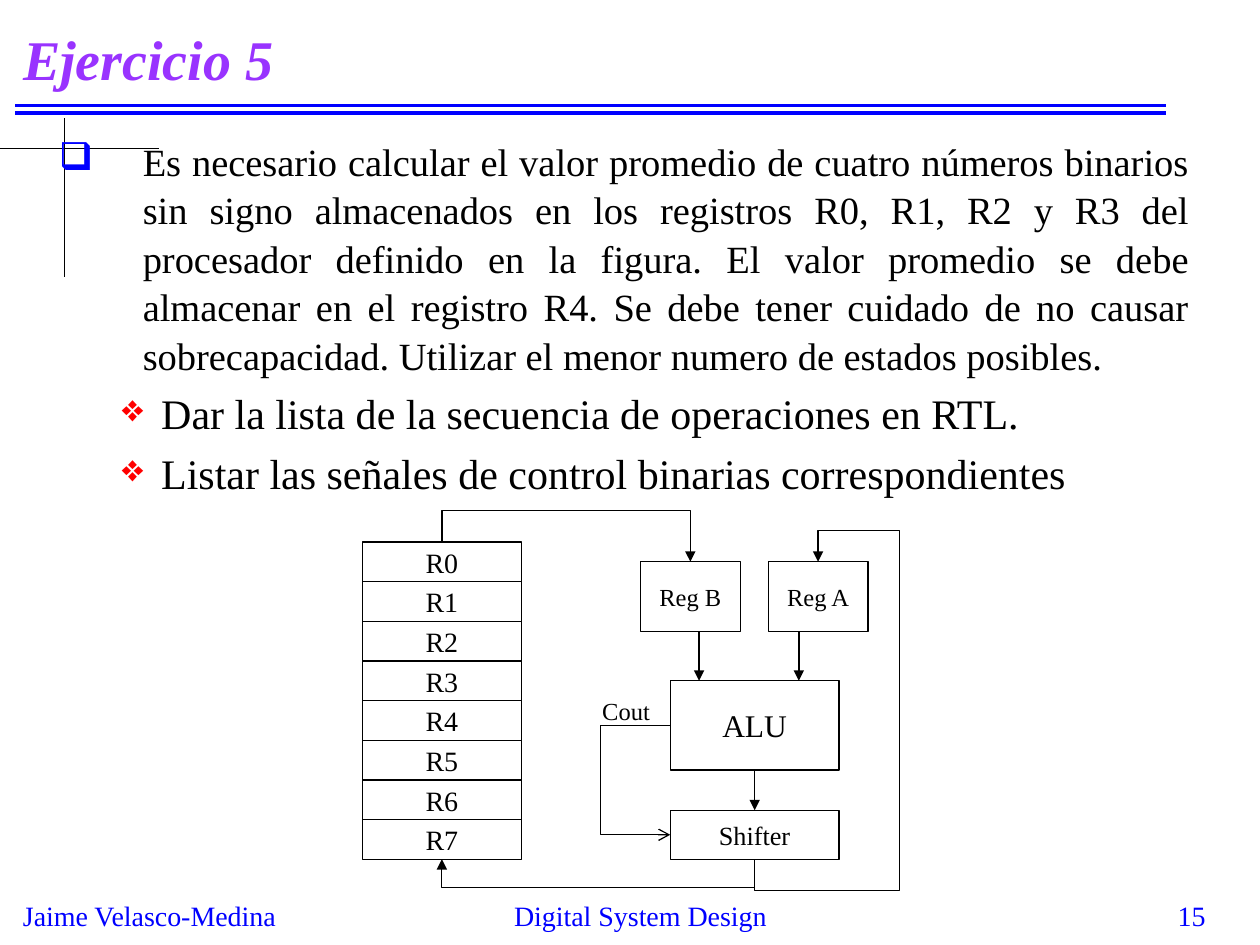
from lxml import etree
from pptx import Presentation
from pptx.dml.color import RGBColor
from pptx.enum import shapes, text
from pptx.oxml import ns
from pptx.util import Pt

BLUE = RGBColor(0x00, 0x00, 0xFF)
PURPLE = RGBColor(0x99, 0x33, 0xFF)
RED = RGBColor(0xFF, 0x00, 0x00)
BLACK = RGBColor(0x00, 0x00, 0x00)
FONT = "Times New Roman"
ALIGN = text.PP_ALIGN
ANCHOR = text.MSO_ANCHOR

STATEMENT = (
    "Es necesario calcular el valor promedio de cuatro números binarios sin signo "
    "almacenados en los registros R0, R1, R2 y R3 del procesador definido en la figura. "
    "El valor promedio se debe almacenar en el registro R4. Se debe tener cuidado de no "
    "causar sobrecapacidad. Utilizar el menor numero de estados posibles."
)
TASKS = (
    "Dar la lista de la secuencia de operaciones en RTL.",
    "Listar las señales de control binarias correspondientes",
)


def set_font(paragraph, size, color):
    """Give a paragraph its font, size and colour."""
    paragraph.font.name = FONT
    paragraph.font.size = Pt(size)
    paragraph.font.color.rgb = color


def add_label(slide, left, top, width, height, words, size, color,
              align=ALIGN.LEFT, wrap=True):
    """Add a text box of one paragraph."""
    box = slide.shapes.add_textbox(Pt(left), Pt(top), Pt(width), Pt(height))
    box.text_frame.word_wrap = wrap
    paragraph = box.text_frame.paragraphs[0]
    paragraph.text = words
    paragraph.alignment = align
    set_font(paragraph, size, color)


def add_block(slide, left, top, width, height, words, size):
    """Add an outlined rectangle with a centred name."""
    block = slide.shapes.add_shape(
        shapes.MSO_SHAPE.RECTANGLE, Pt(left), Pt(top), Pt(width), Pt(height))
    block.shadow.inherit = False
    block.fill.background()
    block.line.color.rgb = BLACK
    block.line.width = Pt(0.75)
    frame = block.text_frame
    frame.word_wrap = False
    frame.vertical_anchor = ANCHOR.MIDDLE
    paragraph = frame.paragraphs[0]
    paragraph.text = words
    paragraph.alignment = ALIGN.CENTER
    set_font(paragraph, size, BLACK)


def add_arrowhead(shape, head):
    """Put an arrowhead at the end of a line."""
    outline = shape.element.spPr.find(ns.qn("a:ln"))
    etree.SubElement(outline, ns.qn("a:tailEnd"), type=head)


def add_line(slide, start, end, color=BLACK, width=0.75, head=None):
    """Add a straight line, with an arrowhead if one is named."""
    line = slide.shapes.add_connector(
        shapes.MSO_CONNECTOR.STRAIGHT, *(Pt(value) for value in (*start, *end)))
    line.line.color.rgb = color
    line.line.width = Pt(width)
    if head:
        add_arrowhead(line, head)
    etree.SubElement(line.element.spPr, ns.qn("a:effectLst"))


def add_route(slide, points, head="triangle"):
    """Add a bent arrow through the given points."""
    start, *others = [(Pt(x), Pt(y)) for x, y in points]
    builder = slide.shapes.build_freeform(*start)
    builder.add_line_segments(others, close=False)
    route = builder.convert_to_shape()
    route.shadow.inherit = False
    route.fill.background()
    route.line.color.rgb = BLACK
    route.line.width = Pt(0.75)
    add_arrowhead(route, head)


def add_bullet(paragraph, mark, color, percent, margin, indent):
    """Give a paragraph a coloured bullet and a hanging indent."""
    properties = paragraph._p.get_or_add_pPr()
    properties.set("marL", str(Pt(margin)))
    properties.set("indent", str(Pt(indent)))
    bullet_color = etree.SubElement(properties, ns.qn("a:buClr"))
    etree.SubElement(bullet_color, ns.qn("a:srgbClr"), val=str(color))
    etree.SubElement(properties, ns.qn("a:buSzPct"), val=str(percent * 1000))
    etree.SubElement(properties, ns.qn("a:buChar"), char=mark)


def add_header(slide, left, top, width, height):
    """Place the title, the double rule and the crossed hairlines."""
    title = slide.shapes.title
    title.left, title.top, title.width, title.height = map(Pt, (left, top, width, height))
    title.text_frame.vertical_anchor = ANCHOR.MIDDLE
    paragraph = title.text_frame.paragraphs[0]
    paragraph.text = "Ejercicio 5"
    paragraph.alignment = ALIGN.LEFT
    set_font(paragraph, 32, PURPLE)
    paragraph.font.bold = paragraph.font.italic = True
    bottom = top + height
    for y in (bottom + 0.3, bottom + 4.6):
        add_line(slide, (left + 2.6, y), (left + width, y), BLUE, 2.25)
    add_line(slide, (0, bottom + 25), (90.7, bottom + 25))
    add_line(slide, (left + 31, bottom + 7.7), (left + 31, bottom + 98.4))


def add_body(slide, left, top, width, height):
    """Place the statement and its tasks."""
    box = slide.shapes.add_textbox(Pt(left), Pt(top), Pt(width), Pt(height))
    frame = box.text_frame
    frame.word_wrap = True
    statement = frame.paragraphs[0]
    statement.text = STATEMENT
    statement.alignment = ALIGN.JUSTIFY
    statement.line_spacing = 1.05
    add_bullet(statement, "❑", BLUE, 100, 48, -48)
    set_font(statement, 22, BLACK)
    for task in TASKS:
        paragraph = frame.add_paragraph()
        paragraph.text = task
        paragraph.level = 1
        paragraph.space_before = Pt(5.5)
        add_bullet(paragraph, "❖", RED, 90, 58.5, -22.5)
        set_font(paragraph, 24, BLACK)


def add_datapath(slide, left, top):
    """Draw the register file, the arithmetic unit, the shifter and their wires."""
    def at(*points):
        return [(left + x, top + y) for x, y in points]

    row = 22.68
    for index in range(8):
        add_block(slide, left, top + 18.7 + index * row, 91, row, f"R{index}", 16)
    for x, y, width, height, name, size in (
        (159, 30, 57, 40, "Reg B", 14),
        (232, 30, 57, 40, "Reg A", 14),
        (176, 98, 96.5, 51, "ALU", 18),
        (176, 172, 96.5, 28, "Shifter", 15),
    ):
        add_block(slide, left + x, top + y, width, height, name, size)

    for x, start, end in ((192.5, 70, 98), (249.5, 70, 98), (224.25, 149, 172)):
        add_line(slide, *at((x, start), (x, end)), head="triangle")
    add_route(slide, at((45.5, 18.7), (45.5, 0.7), (187.5, 0.7), (187.5, 30)))
    add_route(slide, at((224.25, 200), (224.25, 217.7), (307, 217.7),
                        (307, 12), (260.5, 12), (260.5, 30)))
    add_route(slide, at((224.25, 200), (224.25, 216), (45.5, 216), (45.5, 200)))
    add_route(slide, at((176, 123.5), (136, 123.5), (136, 186), (176, 186)), "arrow")
    add_label(slide, left + 130, top + 103, 44.6, 24.5, "Cout", 14, BLACK, wrap=False)


def add_footer(slide, left, top, width):
    """Place the author, the course and the page number."""
    add_label(slide, left, top, 162, 26.6, "Jaime Velasco-Medina", 16, BLUE, wrap=False)
    add_label(slide, left + 234, top, 252, 24, "Digital System Design", 16, BLUE, ALIGN.CENTER)
    add_label(slide, left + width - 150, top, 150, 18, "15", 16, BLUE, ALIGN.RIGHT)


def main():
    """Build the slide and save it."""
    presentation = Presentation()
    presentation.slide_width = Pt(720)
    presentation.slide_height = Pt(540)
    slide = presentation.slides.add_slide(presentation.slide_layouts[5])
    add_header(slide, 6, 6, 660, 54)
    add_body(slide, 26.5, 74, 660, 207)
    add_datapath(slide, 207, 291)
    add_footer(slide, 6, 510, 690)
    presentation.save("out.pptx")


if __name__ == "__main__":
    main()
